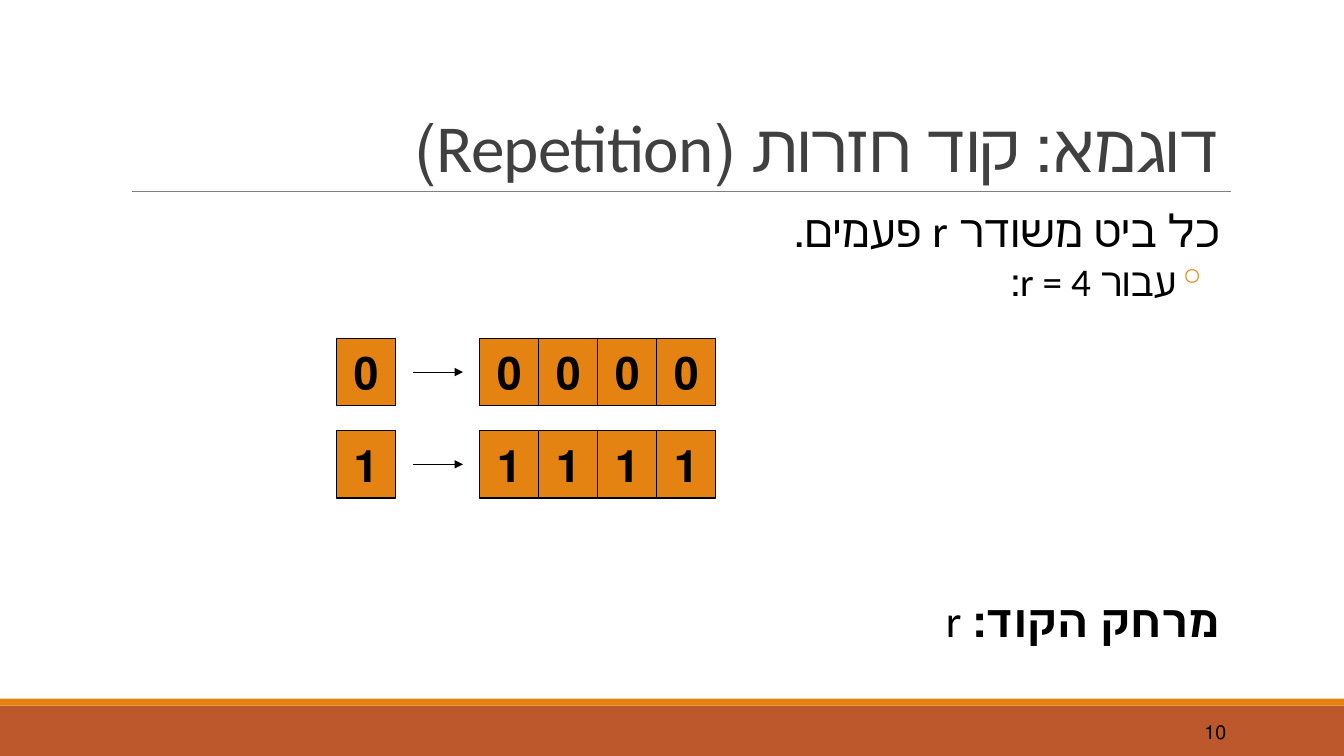
from lxml import etree
from pptx import Presentation, util as u
from pptx.dml.color import RGBColor
from pptx.enum import shapes, text
from pptx.oxml.ns import qn

ORANGE, RUST, BLACK = "E48312", "BD582C", "000000"


def colour(hex_string):
    return RGBColor.from_string(hex_string)


class RtlSlide:
    """Right-to-left slide; lengths are percent of slide width and height."""

    def __init__(self, deck):
        self.width, self.height = deck.slide_width, deck.slide_height
        self.slide = deck.slides.add_slide(deck.slide_layouts[6])

    def place(self, *lengths):
        sides = (self.width, self.height) * 2
        return [round(side * share / 100) for side, share in zip(sides, lengths)]

    def block(self, box, fill, outline=None):
        block = self.slide.shapes.add_shape(
            shapes.MSO_SHAPE.RECTANGLE, *self.place(*box))
        block.shadow.inherit = False
        block.fill.solid()
        block.fill.fore_color.rgb = colour(fill)
        if outline:
            block.line.color.rgb = colour(outline)
            block.line.width = u.Pt(0.75)
        else:
            block.line.fill.background()
        return block

    def rule(self, start, end, hex_string, width, arrow=False):
        rule = self.slide.shapes.add_connector(
            shapes.MSO_CONNECTOR.STRAIGHT, *self.place(*start, *end))
        rule.line.color.rgb = colour(hex_string)
        rule.line.width = u.Pt(width)
        if arrow:
            etree.SubElement(rule.line._get_or_add_ln(), qn("a:tailEnd"), type="triangle")
        etree.SubElement(rule._element.spPr, qn("a:effectLst"))

    def text_box(self, box, anchor="TOP", inset=0.1):
        frame = self.slide.shapes.add_textbox(*self.place(*box)).text_frame
        frame.word_wrap = True
        frame.vertical_anchor = text.MSO_ANCHOR[anchor]
        frame.margin_left = frame.margin_right = u.Inches(inset)
        return frame

    def style(self, paragraph, size, font="Calibri", hex_string=BLACK, align="RIGHT"):
        paragraph.alignment = text.PP_ALIGN[align]
        paragraph.font.size = u.Pt(size)
        paragraph.font.name = font
        paragraph.font.color.rgb = colour(hex_string)
        paragraph._p.get_or_add_pPr().set("rtl", "1")

    def body(self, paragraph, size, before, after, margin, bullet=None):
        self.style(paragraph, size)
        paragraph.line_spacing = 0.9
        paragraph.space_before, paragraph.space_after = u.Pt(before), u.Pt(after)
        props = paragraph._p.get_or_add_pPr()
        props.set("marL", str(u.Inches(margin)))
        if bullet:
            props.set("indent", str(u.Inches(-0.2)))
            marks = (etree.Element(qn("a:buClr")), etree.Element(qn("a:buChar"), char=bullet))
            etree.SubElement(marks[0], qn("a:srgbClr"), val=ORANGE)
            where = props.index(props.find(qn("a:defRPr")))
            props[where:where] = marks

    def bit(self, left, top, digit):
        frame = self.block((left, top, BIT_WIDTH, BIT_HEIGHT), ORANGE, BLACK).text_frame
        frame.word_wrap = False
        frame.vertical_anchor = text.MSO_ANCHOR.MIDDLE
        symbol = frame.paragraphs[0]
        symbol.text = digit
        self.style(symbol, 32, "Arial", align="CENTER")
        symbol.font.bold = True


deck = Presentation()
deck.slide_width, deck.slide_height = u.Inches(13.33), u.Inches(7.5)
page = RtlSlide(deck)

# Footer bands and title rule
page.block((0, 93.33, 100, 6.67), RUST)
page.block((0, 92.4, 100, 0.93), ORANGE)
page.rule((9.83, 25.33), (91.6, 25.33), "808080", 0.5)

# Title
title = page.text_box((9, 4.13, 82.5, 21.2), "BOTTOM").paragraphs[0]
title_run = title.add_run()
title_run.text = "דוגמא: קוד חזרות (Repetition)"
title_run.font._element.set("spc", "-50")
page.style(title, 48, hex_string="404040")
title.line_spacing = 0.85

# Rule of the code and its example
intro = page.text_box((9, 26.93, 82.5, 15), inset=0)
statement = intro.paragraphs[0]
statement.text = "כל ביט משודר r פעמים."
page.body(statement, 32, 12, 2, 0.1)
example = intro.add_paragraph()
example.text = "עבור r = 4:"
page.body(example, 28, 2, 4, 0.42, "◦")

# Code distance
distance = page.text_box((9, 78.53, 82.5, 8), inset=0).paragraphs[0]
label = distance.add_run()
label.text = "מרחק הקוד: "
label.font.bold = True
distance.add_run().text = "r"
page.body(distance, 32, 12, 2, 0.1)

# Page number
number = page.text_box((81.25, 94.13, 10.73, 5.33), "MIDDLE").paragraphs[0]
number.text = "10"
page.style(number, 14, "Arial")

# Each bit and its codeword
BIT_WIDTH, BIT_HEIGHT, ROW_STEP = 4.39, 8.93, 12.2
BIT_LEFT, WORD_LEFT, FIRST_TOP, REPEATS = 25.05, 35.7, 44.75, 4
for row, digit in enumerate("01"):
    top = FIRST_TOP + row * ROW_STEP
    middle = top + BIT_HEIGHT / 2
    page.bit(BIT_LEFT, top, digit)
    page.rule((30.7, middle), (34.45, middle), BLACK, 0.75, arrow=True)
    for position in range(REPEATS):
        page.bit(WORD_LEFT + position * BIT_WIDTH, top, digit)

deck.save("out.pptx")
